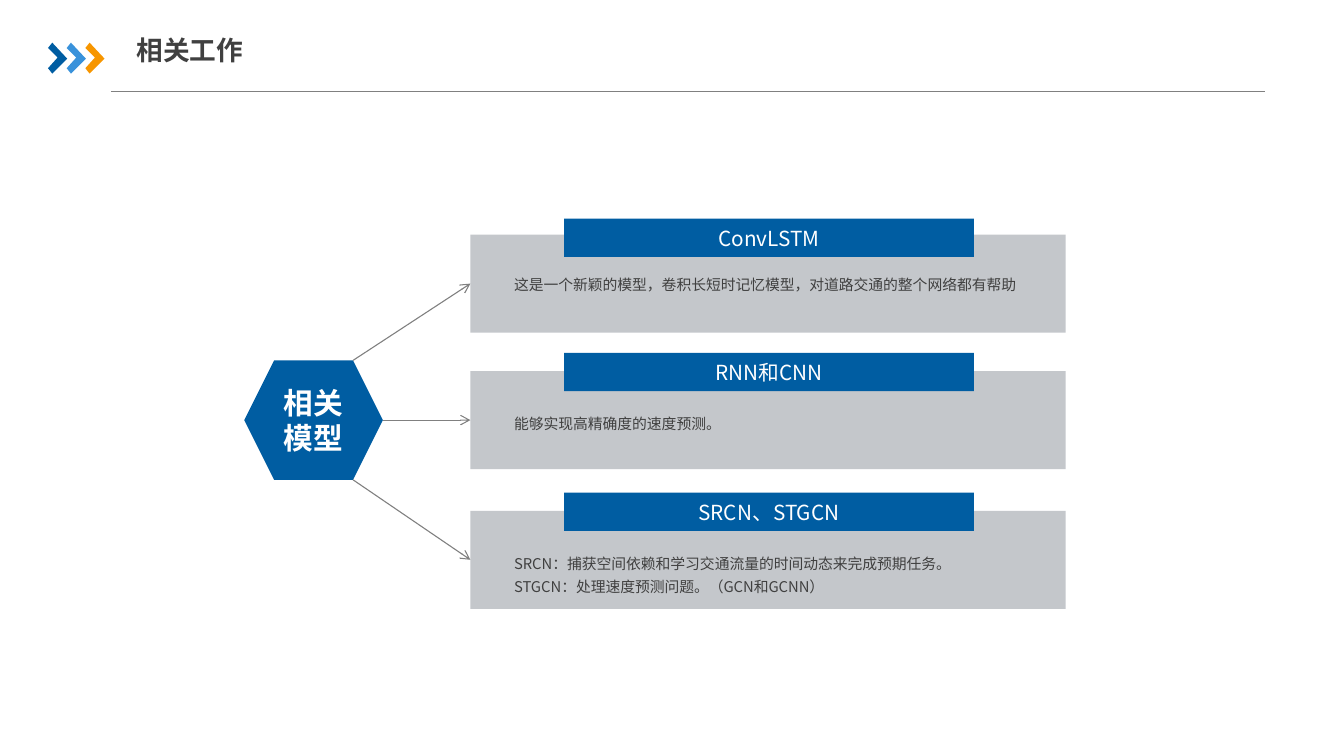
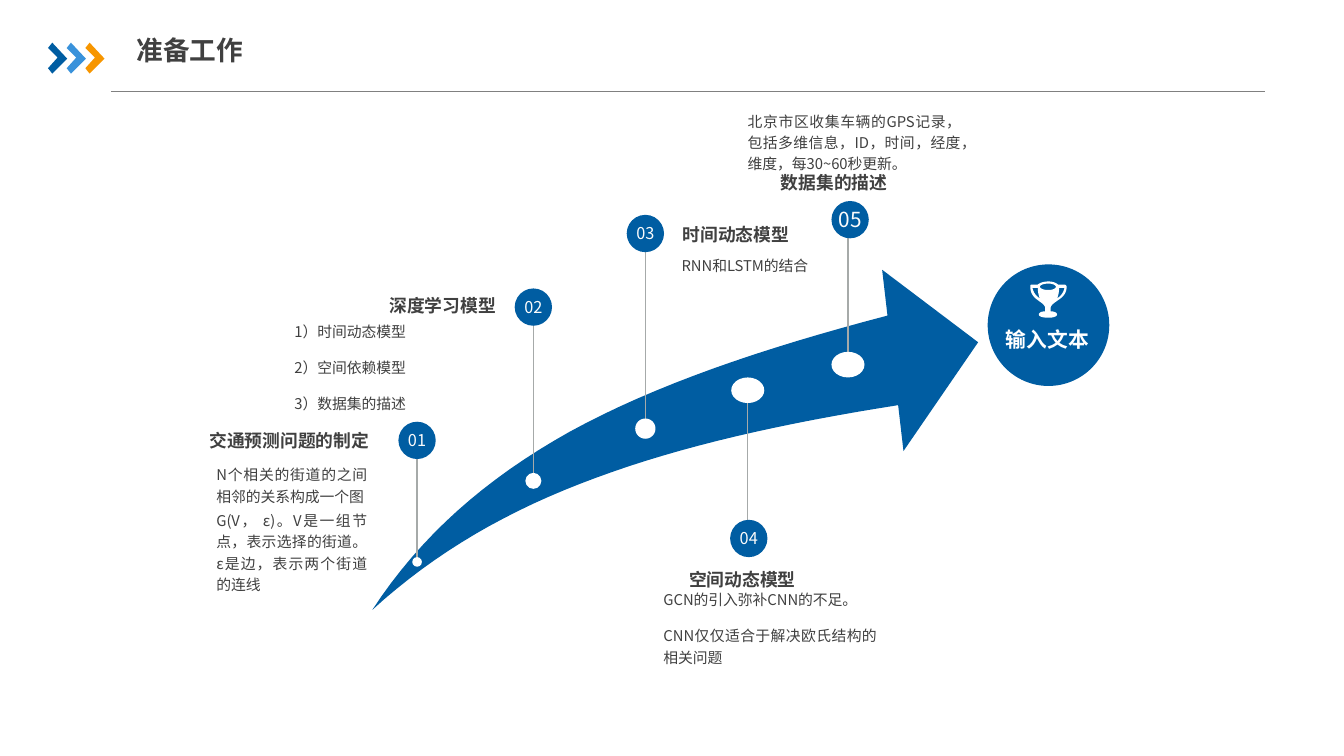
from lxml.etree import SubElement
from pptx import Presentation
from pptx.dml.color import RGBColor
from pptx.enum.shapes import MSO_CONNECTOR, MSO_SHAPE
from pptx.enum.text import MSO_ANCHOR, PP_ALIGN
from pptx.oxml.ns import qn
from pptx.util import Inches, Pt

RECT, OVAL, HEXAGON = MSO_SHAPE.RECTANGLE, MSO_SHAPE.OVAL, MSO_SHAPE.HEXAGON
STRAIGHT = MSO_CONNECTOR.STRAIGHT
TOP, MIDDLE = MSO_ANCHOR.TOP, MSO_ANCHOR.MIDDLE
LEFT, CENTER, RIGHT, JUSTIFY = PP_ALIGN.LEFT, PP_ALIGN.CENTER, PP_ALIGN.RIGHT, PP_ALIGN.JUSTIFY

FONT = "Noto Sans CJK SC"
BLUE, SKY, ORANGE = "005DA2", "3992DB", "F79600"
DARK, GRAY, STEM, PANEL = "404040", "808080", "A6AAA9", "C4C7CB"
WHITE, NEAR_WHITE = "FFFFFF", "FCFCFC"
PADDING = (0.08, 0.04, 0.08, 0.04)
NO_PADDING = (0, 0, 0, 0)
CURVE_STEPS = 16

# Outlines: a start point, then (end,) for a line or (control, control, end) for a curve
GROWTH_ARROW = [
    (3.49, 5.72),
    ((3.94, 5.03), (4.55, 4.49), (5.34, 4.05)),
    ((6.14, 3.61), (7.14, 3.27), (8.32, 2.96)),
    ((8.27, 2.53),), ((9.17, 3.21),), ((8.47, 4.23),), ((8.42, 3.8),),
    ((7.34, 3.97), (6.4, 4.18), (5.59, 4.48)),
    ((4.77, 4.78), (4.08, 5.18), (3.49, 5.72)),
]
CUP_AXIS = 9.83
CUP_HANDLE = [
    (9.68, 2.7), ((9.73, 2.7),),
    ((9.73, 2.74), (9.74, 2.78), (9.75, 2.8)),
    ((9.72, 2.78), (9.69, 2.75), (9.68, 2.7)),
]
CUP_RIM = [
    (9.83, 2.66),
    ((9.88, 2.66), (9.9, 2.68), (9.9, 2.69)),
    ((9.9, 2.7), (9.88, 2.72), (9.83, 2.72)),
    ((9.77, 2.72), (9.75, 2.7), (9.75, 2.69)),
    ((9.75, 2.68), (9.77, 2.66), (9.83, 2.66)),
]
CUP_BODY = [
    (9.85, 2.89),
    ((9.85, 2.87), (9.87, 2.85), (9.9, 2.83)),
    ((9.94, 2.8), (10, 2.77), (10, 2.69)),
    ((10, 2.68), (9.99, 2.67), (9.98, 2.67)), ((9.92, 2.67),),
    ((9.91, 2.66), (9.88, 2.64), (9.83, 2.64)),
    ((9.77, 2.64), (9.74, 2.66), (9.73, 2.67)), ((9.67, 2.67),),
    ((9.66, 2.67), (9.66, 2.68), (9.66, 2.69)),
    ((9.66, 2.77), (9.71, 2.8), (9.75, 2.83)),
    ((9.78, 2.85), (9.8, 2.87), (9.8, 2.89)), ((9.8, 2.92),),
    ((9.77, 2.92), (9.74, 2.93), (9.74, 2.95)),
    ((9.74, 2.97), (9.78, 2.98), (9.83, 2.98)),
    ((9.87, 2.98), (9.91, 2.97), (9.91, 2.95)),
    ((9.91, 2.93), (9.88, 2.92), (9.85, 2.92)), ((9.85, 2.89),),
]

# Panel top, bar top, body top, heading, body
MODELS = [
    (2.2, 2.05, 2.5, "ConvLSTM", "这是一个新颖的模型，卷积长短时记忆模型，对道路交通的整个网络都有帮助"),
    (3.48, 3.31, 3.8, "RNN和CNN", "能够实现高精确度的速度预测。"),
    (4.79, 4.62, 5.11, "SRCN、STGCN",
     "SRCN：捕获空间依赖和学习交通流量的时间动态来完成预期任务。\n"
     "STGCN：处理速度预测问题。（GCN和GCNN）"),
]

# Number, its size, badge centre, dot centre, dot size
MILESTONES = [
    ("01", 11, (3.91, 4.13), (3.91, 5.27), (0.09, 0.09)),
    ("02", 11, (5, 2.88), (5, 4.51), (0.15, 0.15)),
    ("03", 11, (6.05, 2.19), (6.05, 4.02), (0.19, 0.19)),
    ("04", 11, (7.02, 5.05), (7.01, 3.66), (0.31, 0.24)),
    ("05", 14, (7.97, 2.06), (7.95, 3.42), (0.31, 0.24)),
]

# Heading box, heading, its format, body box, body, its format
STEPS = [
    ((1.85, 3.96, 1.71, 0.34), "交通预测问题的制定",
     dict(align=RIGHT, inset=(0.1, 0.05, 0.1, 0.05), spacing=1),
     (1.93, 4.29, 1.61, 1.3),
     "N个相关的街道的之间相邻的关系构成一个图\n"
     "G(V， ε)。V是一组节点，表示选择的街道。 ε是边，表示两个街道的连线",
     dict(inset=(0.1, 0.05, 0.1, 0.05), before=2)),
    ((2.8, 2.71, 1.85, 0.34), "深度学习模型", dict(align=RIGHT),
     (2.76, 2.99, 1.85, 0.94), "1）时间动态模型\n2）空间依赖模型\n3）数据集的描述", {}),
    ((6.4, 2.04, 1.52, 0.34), "时间动态模型", {},
     (6.39, 2.37, 1.53, 0.78), "RNN和LSTM的结合", {}),
    ((6.46, 5.28, 1.52, 0.34), "空间动态模型", {},
     (6.22, 5.51, 2, 0.78),
     "GCN的引入弥补CNN的不足。\nCNN仅仅适合于解决欧氏结构的相关问题", {}),
    ((7.32, 1.57, 1.42, 0.31), "数据集的描述", {},
     (7.01, 1.02, 2, 0.55),
     "北京市区收集车辆的GPS记录，包括多维信息，ID，时间，经度，维度，每30~60秒更新。", {}),
]


def rgb(color):
    return RGBColor.from_string(color)


def write_text(shape, text, size=10, color=DARK, bold=False, align=LEFT, anchor=TOP,
               spacing=1, before=0, inset=NO_PADDING, wrap=True):
    tf = shape.text_frame
    tf.word_wrap, tf.vertical_anchor = wrap, anchor
    tf.margin_left, tf.margin_top, tf.margin_right, tf.margin_bottom = map(Inches, inset)
    for i, line in enumerate(text.split("\n")):
        p = tf.add_paragraph() if i else tf.paragraphs[0]
        p.alignment, p.line_spacing, p.space_before = align, spacing, Pt(before)
        r = p.add_run()
        r.text = line
        r.font.name, r.font.size, r.font.bold = FONT, Pt(size), bold
        r.font.color.rgb = rgb(color)
        # East Asian typeface
        SubElement(r._r.get_or_add_rPr(), qn("a:ea")).set("typeface", FONT)


def add_text(s, box, text, **fmt):
    write_text(s.shapes.add_textbox(*map(Inches, box)), text, **fmt)


def paint(shape, color):
    shape.shadow.inherit = False
    shape.fill.solid()
    shape.fill.fore_color.rgb = rgb(color)
    shape.line.fill.background()
    return shape


def add_shape(s, kind, box, color):
    return paint(s.shapes.add_shape(kind, *map(Inches, box)), color)


def add_oval(s, center, size, color):
    (x, y), (w, h) = center, size
    return add_shape(s, OVAL, (x - w / 2, y - h / 2, w, h), color)


def add_line(s, start, end, color, width=0.75, arrow=False, target=None):
    c = s.shapes.add_connector(STRAIGHT, *map(Inches, (*start, *end)))
    if target is not None:
        c.end_connect(target, 1)
    c.line.color.rgb, c.line.width = rgb(color), Pt(width)
    sp_pr = c._element.spPr
    if arrow:
        SubElement(sp_pr.find(qn("a:ln")), qn("a:tailEnd")).set("type", "arrow")
    SubElement(sp_pr, qn("a:effectLst"))


def trace(outline):
    """Turn lines and Bezier curves into a list of points."""
    points = [outline[0]]
    for segment in outline[1:]:
        if len(segment) == 1:
            points.append(segment[0])
            continue
        corners = (points[-1], *segment)
        for i in range(1, CURVE_STEPS + 1):
            t = i / CURVE_STEPS
            weights = ((1 - t) ** 3, 3 * t * (1 - t) ** 2, 3 * t * t * (1 - t), t ** 3)
            points.append(tuple(sum(w * c[k] for w, c in zip(weights, corners))
                                for k in (0, 1)))
    return points


def add_outline(s, contours, color):
    contours = [[(Inches(x), Inches(y)) for x, y in points] for points in contours]
    builder = s.shapes.build_freeform(*contours[0][0], scale=1.0)
    for i, points in enumerate(contours):
        if i:
            builder.move_to(*points[0])
        builder.add_line_segments(points[1:], close=True)
    return paint(builder.convert_to_shape(), color)


def add_page(prs, title):
    s = prs.slides.add_slide(prs.slide_layouts[6])
    # Rule, three chevrons and title
    add_line(s, (1.04, 0.86), (11.86, 0.86), GRAY)
    for i, color in enumerate((BLUE, SKY, ORANGE)):
        x = 0.45 + i * 0.175
        add_outline(s, [[(x, 0.45), (x + 0.04, 0.4), (x + 0.18, 0.55),
                         (x + 0.04, 0.69), (x, 0.64), (x + 0.09, 0.54)]], color)
    add_text(s, (1.28, 0.26, 8.88, 0.42), title, size=18, bold=True,
             anchor=MIDDLE, inset=(0, 0.05, 0, 0.05))
    return s


def add_model(s, panel_top, bar_top, body_top, heading, body, start):
    panel = add_shape(s, RECT, (4.41, panel_top, 5.58, 0.92), PANEL)
    bar = add_shape(s, RECT, (5.29, bar_top, 3.84, 0.36), BLUE)
    write_text(bar, heading, size=14, color=WHITE, align=CENTER, anchor=MIDDLE, inset=PADDING)
    add_text(s, (4.74, body_top, 4.96, 0.27), body, spacing=1.3, inset=PADDING)
    add_line(s, start, (4.41, panel_top + 0.46), GRAY, arrow=True, target=panel)


def build_related_work(prs):
    s = add_page(prs, "相关工作")
    hub = add_shape(s, HEXAGON, (2.29, 3.38, 1.3, 1.12), BLUE)
    write_text(hub, "相关模型", size=20, color=WHITE, bold=True, align=CENTER,
               anchor=MIDDLE, inset=PADDING)
    for model, start in zip(MODELS, ((3.31, 3.38), (3.59, 3.94), (3.31, 4.5))):
        add_model(s, *model, start)


def add_milestone(s, number, size, badge, dot, dot_size):
    add_line(s, dot, (dot[0], badge[1]), STEM, width=1)
    add_oval(s, dot, dot_size, WHITE)
    write_text(add_oval(s, badge, (0.35, 0.35), BLUE), number, size=size,
               color=NEAR_WHITE, align=CENTER, anchor=MIDDLE, wrap=False)


def add_step(s, heading_box, heading, heading_fmt, body_box, body, body_fmt):
    add_text(s, heading_box, heading,
             **{**dict(size=12, bold=True, anchor=MIDDLE, spacing=0.9), **heading_fmt})
    add_text(s, body_box, body,
             **{**dict(align=JUSTIFY, spacing=1.2, before=10), **body_fmt})


def add_goal(s):
    add_oval(s, (9.83, 3.05), (1.14, 1.14), BLUE)
    handle = trace(CUP_HANDLE)
    mirrored = [(2 * CUP_AXIS - x, y) for x, y in handle]
    add_outline(s, [trace(CUP_BODY), trace(CUP_RIM), handle, mirrored], WHITE)
    add_text(s, (9.4, 3.03, 0.84, 0.34), "输入文本", size=14, color=WHITE, bold=True,
             align=CENTER, anchor=MIDDLE, spacing=0.9)


def build_preparation(prs):
    s = add_page(prs, "准备工作")
    add_outline(s, [trace(GROWTH_ARROW)], BLUE)
    for milestone in MILESTONES:
        add_milestone(s, *milestone)
    for step in STEPS:
        add_step(s, *step)
    add_goal(s)


def main():
    prs = Presentation()
    prs.slide_width, prs.slide_height = Inches(12.6), Inches(7.09)
    build_related_work(prs)
    build_preparation(prs)
    prs.save("out.pptx")


if __name__ == "__main__":
    main()
